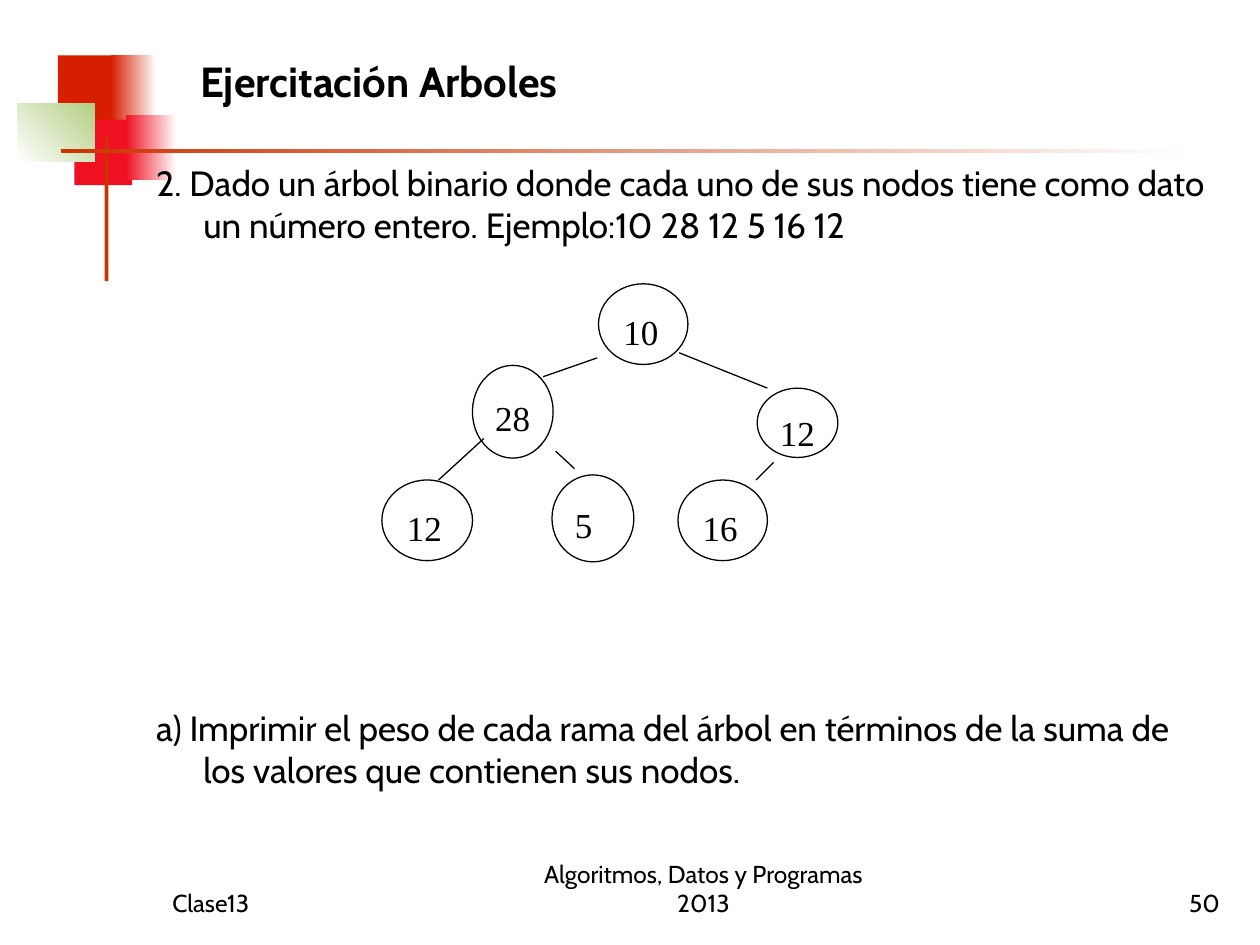
from dataclasses import dataclass

from lxml.etree import SubElement
from pptx import Presentation
from pptx.dml.color import RGBColor
from pptx.enum.shapes import MSO_CONNECTOR, MSO_SHAPE
from pptx.enum.text import MSO_ANCHOR, PP_ALIGN
from pptx.oxml.ns import qn
from pptx.util import Pt


@dataclass(frozen=True)
class Theme:
    ink: str = "000000"
    paper: str = "FFFFFF"
    red: str = "D61F00"
    crimson: str = "EF1121"
    green: str = "B3CE82"
    rule: str = "CC3300"
    font: str = "Cabin"
    node_font: str = "Times New Roman"
    title_size: float = 24
    body_size: float = 20
    footer_size: float = 14
    line_width: float = 0.75


theme = Theme()

# Content: all places are left, top, width, height in points
title = ("Ejercitación Arboles", (107.3, 9.4, 286.6, 73.4))
body_place = (82.1, 88.6, 618.5, 430.6)
body_gap = 263.5
body = [
    "2. Dado un árbol binario donde cada uno de sus nodos tiene como dato "
    "un número entero. Ejemplo:10 28 12 5 16 12",
    "a) Imprimir el peso de cada rama del árbol en términos de la suma de "
    "los valores que contienen sus nodos.",
]
footer_top, footer_height = 491.8, 36
footers = [  # text, left, width, alignment
    ("Clase13", 91.4, 149.8, PP_ALIGN.LEFT),
    ("Algoritmos, Datos y Programas 2013", 288, 228, PP_ALIGN.CENTER),
    ("50", 554.4, 149.8, PP_ALIGN.RIGHT),
]
# Ornament: place, colours (two make a gradient), gradient angle
ornament = [
    ((33.1, 31.7, 34.6, 37.4), (theme.red,), 0),
    ((63.4, 31.7, 25.9, 37.4), (theme.red, theme.paper), 0),
    ((42.5, 68.4, 33.1, 37.4), (theme.crimson,), 0),
    ((72, 65.5, 28.8, 37.4), (theme.crimson, theme.paper), 0),
    ((10.1, 59, 43.9, 33.1), (theme.paper, theme.green), 45),
    ((59.8, 77.8, 2.2, 82.8), (theme.rule,), 0),
    ((34.6, 85, 648, 2.2), (theme.rule, theme.paper), 0),
]
nodes = [
    ("10", (342, 162.2, 51.1, 46.1)),
    ("28", (270, 208.8, 46.1, 53)),
    ("12", (432.7, 221.8, 46.1, 39.6)),
    ("5", (315.4, 271.4, 46.8, 49.7)),
    ("16", (387.4, 274.3, 51.1, 46.1)),
    ("12", (218.2, 274.3, 51.8, 46.1)),
]
branches = [  # from x, y to x, y
    (341.3, 204.5, 310.3, 215.3),
    (388.1, 201.6, 438.5, 221.8),
    (276.5, 250.6, 250.6, 274.3),
    (317.5, 257.8, 328.3, 267.8),
    (442.1, 264.2, 432, 274.3),
]


def points(values):
    return [Pt(value) for value in values]


def colour(code):
    return RGBColor.from_string(code)


def add_block(shapes, kind, place, colours, angle=0, outline=False):
    block = shapes.add_shape(kind, *points(place))
    block.shadow.inherit = False
    if len(colours) == 1:
        block.fill.solid()
        block.fill.fore_color.rgb = colour(colours[0])
    else:
        block.fill.gradient()
        block.fill.gradient_angle = angle
        for stop, code in zip(block.fill.gradient_stops, colours):
            stop.color.rgb = colour(code)
    if outline:
        block.line.color.rgb = colour(theme.ink)
        block.line.width = Pt(theme.line_width)
    else:
        block.line.fill.background()


def add_text(shapes, texts, place, size, font=theme.font, bold=False,
             align=PP_ALIGN.LEFT, anchor=MSO_ANCHOR.TOP,
             insets=(7.2, 3.6), hang=0, gap=0):
    box = shapes.add_textbox(*points(place))
    frame = box.text_frame
    frame.word_wrap = True
    frame.vertical_anchor = anchor
    frame.margin_left = frame.margin_right = Pt(insets[0])
    frame.margin_top = frame.margin_bottom = Pt(insets[1])
    for index, text in enumerate(texts):
        para = frame.add_paragraph() if index else frame.paragraphs[0]
        para.alignment = align
        if index:
            para.space_before = Pt(gap)
        if hang:
            properties = para._p.get_or_add_pPr()
            properties.set("marL", str(Pt(hang)))
            properties.set("indent", str(Pt(-hang)))
        span = para.add_run()
        span.text = text
        span.font.name = font
        span.font.size = Pt(size)
        span.font.bold = bold
        span.font.color.rgb = colour(theme.ink)


def add_branch(shapes, ends):
    branch = shapes.add_connector(MSO_CONNECTOR.STRAIGHT, *points(ends))
    branch.line.color.rgb = colour(theme.ink)
    branch.line.width = Pt(theme.line_width)
    SubElement(branch._element.spPr, qn("a:effectLst"))


def add_tree(page):
    tree = page.shapes.add_group_shape().shapes
    for label, place in nodes:
        left, top, width, height = place
        add_block(tree, MSO_SHAPE.OVAL, place, (theme.paper,), outline=True)
        # The label starts a quarter across and a third down its node
        label_place = (left + width / 4, top + height / 3, width, height * 2 / 3)
        add_text(tree, [label], label_place, theme.body_size,
                 font=theme.node_font, insets=(1.4, 0))
    for ends in branches:
        add_branch(tree, ends)


def main():
    deck = Presentation()
    deck.slide_width, deck.slide_height = Pt(720), Pt(540)
    page = deck.slides.add_slide(deck.slide_layouts[6])

    # Corner ornament and rules
    for place, colours, angle in ornament:
        add_block(page.shapes, MSO_SHAPE.RECTANGLE, place, colours, angle)

    # Exercise text and tree
    add_text(page.shapes, body, body_place, theme.body_size,
             hang=27, gap=body_gap)
    add_tree(page)

    # Title and footers
    add_text(page.shapes, [title[0]], title[1], theme.title_size,
             bold=True, anchor=MSO_ANCHOR.MIDDLE)
    for text, left, width, align in footers:
        add_text(page.shapes, [text], (left, footer_top, width, footer_height),
                 theme.footer_size, align=align, anchor=MSO_ANCHOR.BOTTOM)

    deck.save("out.pptx")


if __name__ == "__main__":
    main()
